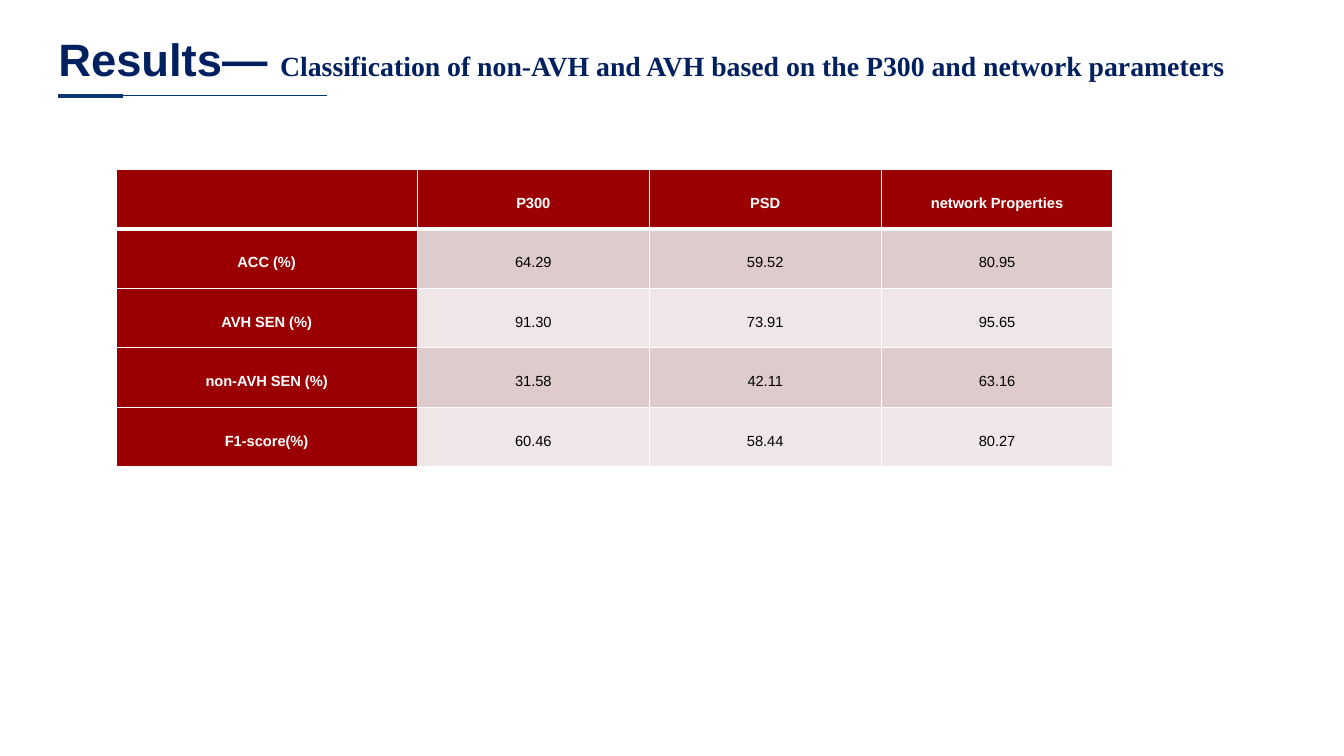
import pptx
import pptx.dml.color
import pptx.enum.shapes
import pptx.enum.text
import pptx.oxml.ns
import pptx.util
from lxml import etree

Inches = pptx.util.Inches
Pt = pptx.util.Pt
RGBColor = pptx.dml.color.RGBColor
MIDDLE = pptx.enum.text.MSO_ANCHOR.MIDDLE

NAVY = RGBColor(0x00, 0x20, 0x60)
RULE_BLUE = RGBColor(0x06, 0x37, 0x71)
DARK_RED = RGBColor(0x9A, 0x00, 0x01)
BAND_DARK = RGBColor(0xDE, 0xCC, 0xCC)
BAND_LIGHT = RGBColor(0xEF, 0xE7, 0xE7)
WHITE = RGBColor(0xFF, 0xFF, 0xFF)
BLACK = RGBColor(0x00, 0x00, 0x00)

SLIDE_WIDTH, SLIDE_HEIGHT = 13.33, 7.5
RULE_LEFT, RULE_TOP = 0.58, 0.95
TABLE_LEFT, TABLE_TOP = 1.15, 1.68
COLUMN_WIDTHS = [2.99, 2.3, 2.3, 2.3]
ROW_HEIGHT = 0.59

RESULTS = [
    ["", "P300", "PSD", "network Properties"],
    ["ACC (%)", "64.29", "59.52", "80.95"],
    ["AVH SEN (%)", "91.30", "73.91", "95.65"],
    ["non-AVH SEN (%)", "31.58", "42.11", "63.16"],
    ["F1-score(%)", "60.46", "58.44", "80.27"],
]


def add_text(paragraph, text, *, size, color, font="Arial", bold=False):
    run = paragraph.add_run()
    run.text = text
    run.font.name = font
    run.font.size = Pt(size)
    run.font.bold = bold
    run.font.color.rgb = color


def add_rule(slide, length, weight):
    """Draw a horizontal line under the title."""
    rule = slide.shapes.add_connector(
        pptx.enum.shapes.MSO_CONNECTOR.STRAIGHT,
        Inches(RULE_LEFT), Inches(RULE_TOP),
        Inches(RULE_LEFT + length), Inches(RULE_TOP))
    rule.line.color.rgb = RULE_BLUE
    rule.line.width = Pt(weight)
    etree.SubElement(rule._element.spPr, pptx.oxml.ns.qn("a:effectLst"))


def add_title(slide):
    box = slide.shapes.add_textbox(
        Inches(0.48), Inches(0.27), Inches(12.07), Inches(0.68))
    frame = box.text_frame
    frame.word_wrap = True
    frame.vertical_anchor = MIDDLE
    paragraph = frame.paragraphs[0]
    paragraph.line_spacing = 0.9
    add_text(paragraph, "Results— ", size=32.4, color=NAVY, bold=True)
    add_text(paragraph,
             "Classification of non-AVH and AVH based on the P300 and network parameters",
             size=19.8, color=NAVY, font="Times New Roman", bold=True)


def set_borders(cell, **weights):
    """Give the cell white borders; the schema wants them ahead of the fill."""
    properties = cell._tc.get_or_add_tcPr()
    for side in ("L", "R", "T", "B"):
        line = etree.SubElement(properties, pptx.oxml.ns.qn(f"a:ln{side}"),
                                w=str(Pt(weights.get(side, 1))))
        fill = etree.SubElement(line, pptx.oxml.ns.qn("a:solidFill"))
        etree.SubElement(fill, pptx.oxml.ns.qn("a:srgbClr"), val=str(WHITE))


def fill_cell(cell, text, row, column):
    heading = row == 0 or column == 0
    set_borders(cell, T=3 if row == 1 else 1, B=3 if row == 0 else 1)
    cell.fill.solid()
    band = BAND_DARK if row % 2 else BAND_LIGHT
    cell.fill.fore_color.rgb = DARK_RED if heading else band
    cell.vertical_anchor = MIDDLE
    cell.margin_left = cell.margin_right = Inches(0.07)
    cell.margin_top = cell.margin_bottom = 0
    if text:
        paragraph = cell.text_frame.paragraphs[0]
        paragraph.alignment = pptx.enum.text.PP_ALIGN.CENTER
        paragraph.line_spacing = 1.5
        add_text(paragraph, text, size=10.5,
                 color=WHITE if heading else BLACK, bold=heading)


def add_results_table(slide):
    table = slide.shapes.add_table(
        len(RESULTS), len(COLUMN_WIDTHS), Inches(TABLE_LEFT), Inches(TABLE_TOP),
        Inches(sum(COLUMN_WIDTHS)), Inches(ROW_HEIGHT * len(RESULTS))).table
    table.first_col = True
    for column, width in zip(table.columns, COLUMN_WIDTHS):
        column.width = Inches(width)
    for row, texts in enumerate(RESULTS):
        table.rows[row].height = Inches(ROW_HEIGHT)
        for column, text in enumerate(texts):
            fill_cell(table.cell(row, column), text, row, column)


def main():
    presentation = pptx.Presentation()
    presentation.slide_width = Inches(SLIDE_WIDTH)
    presentation.slide_height = Inches(SLIDE_HEIGHT)
    slide = presentation.slides.add_slide(presentation.slide_layouts[6])
    add_rule(slide, length=2.66, weight=0.5)
    add_rule(slide, length=0.64, weight=3)
    add_title(slide)
    add_results_table(slide)
    presentation.save("out.pptx")


if __name__ == "__main__":
    main()
